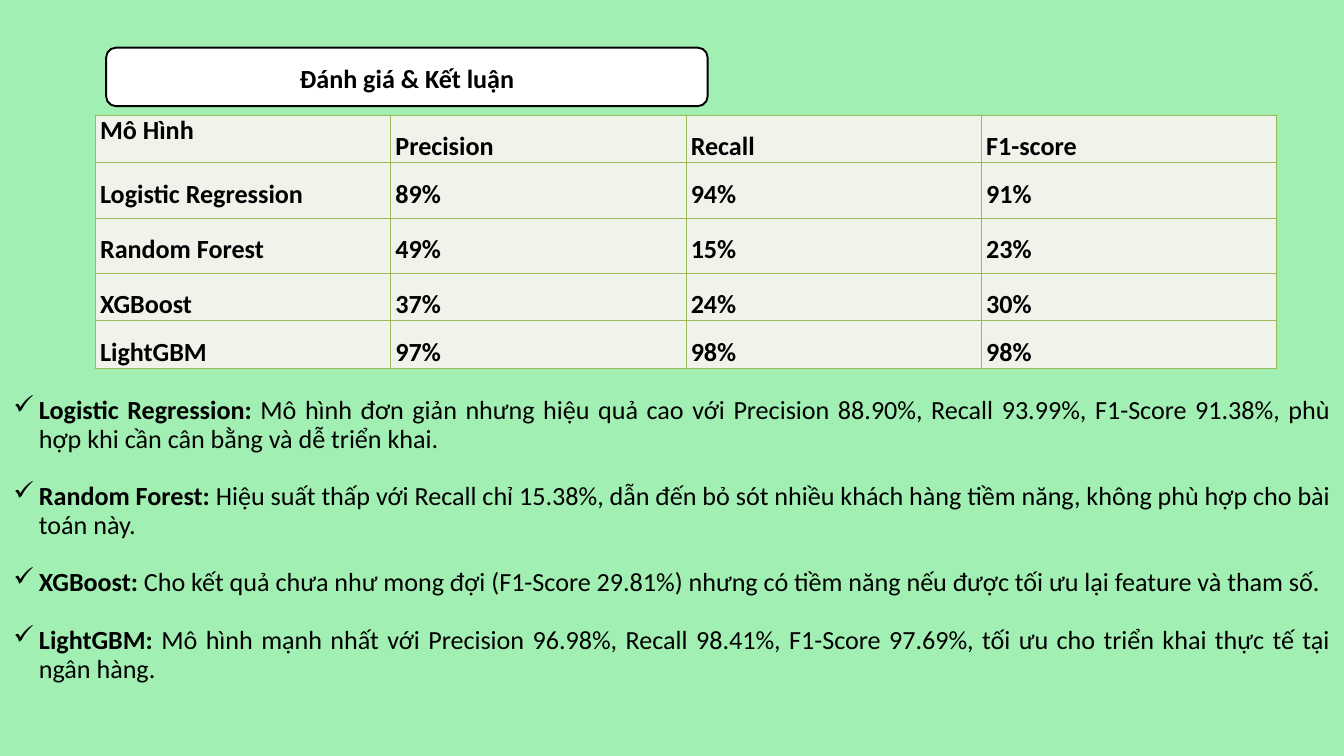
from typing import NamedTuple

from lxml import etree
from pptx import Presentation
from pptx.dml.color import RGBColor
from pptx.enum.shapes import MSO_SHAPE
from pptx.enum.text import MSO_ANCHOR, PP_ALIGN
from pptx.oxml.ns import qn
from pptx.util import Pt

ROUND = MSO_SHAPE.ROUNDED_RECTANGLE
MIDDLE = MSO_ANCHOR.MIDDLE
CENTER, JUSTIFY = PP_ALIGN.CENTER, PP_ALIGN.JUSTIFY

MINT = RGBColor(0xA1, 0xEF, 0xB2)
WHITE = RGBColor(0xFF, 0xFF, 0xFF)
BLACK = RGBColor(0, 0, 0)
PALE = RGBColor(0xEF, 0xF3, 0xEA)
OLIVE = RGBColor(0x9B, 0xBB, 0x59)

SCALE = 9144
FACE = "Calibri"
SIZE = Pt(28)
LEAD = Pt(30.8)
INDENT = 38


class Box(NamedTuple):
    left: int
    top: int
    width: int
    height: int


class Note(NamedTuple):
    model: str
    text: str


TITLE = Box(158, 71, 895, 87)
GRID = Box(142, 171, 1758, 344)
BODY = Box(20, 589, 1959, 463)
HEIGHTS = [60, 82, 82, 60, 60]
SCORES = [
    ["Mô Hình", "Precision", "Recall", "F1-score"],
    ["Logistic Regression", "89%", "94%", "91%"],
    ["Random Forest", "49%", "15%", "23%"],
    ["XGBoost", "37%", "24%", "30%"],
    ["LightGBM", "97%", "98%", "98%"],
]
NOTES = [
    Note("Logistic Regression", "Mô hình đơn giản nhưng hiệu quả cao với Precision 88.90%, Recall 93.99%, "
         "F1-Score 91.38%, phù hợp khi cần cân bằng và dễ triển khai."),
    Note("Random Forest", "Hiệu suất thấp với Recall chỉ 15.38%, dẫn đến bỏ sót nhiều khách hàng "
         "tiềm năng, không phù hợp cho bài toán này."),
    Note("XGBoost", "Cho kết quả chưa như mong đợi (F1-Score 29.81%) nhưng có tiềm năng nếu được "
         "tối ưu lại feature và tham số."),
    Note("LightGBM", "Mô hình mạnh nhất với Precision 96.98%, Recall 98.41%, F1-Score 97.69%, "
         "tối ưu cho triển khai thực tế tại ngân hàng."),
]


def px(count: int) -> int:
    return count * SCALE


def place(box: Box) -> list[int]:
    return [px(side) for side in box]


def style(run, bold: bool = True) -> None:
    run.font.name = FACE
    run.font.size = SIZE
    run.font.bold = bold
    run.font.color.rgb = BLACK


def border(cell) -> None:
    props = cell._tc.get_or_add_tcPr()
    for side in ("lnL", "lnR", "lnT", "lnB"):
        line = etree.SubElement(props, qn(f"a:{side}"), w=str(Pt(1)))
        fill = etree.SubElement(line, qn("a:solidFill"))
        etree.SubElement(fill, qn("a:srgbClr"), val=str(OLIVE))


def draw_title(slide, box: Box, text: str) -> None:
    shape = slide.shapes.add_shape(ROUND, *place(box))
    shape.shadow.inherit = False
    shape.fill.solid()
    shape.fill.fore_color.rgb = WHITE
    shape.line.color.rgb = BLACK
    shape.line.width = Pt(2)
    frame = shape.text_frame
    frame.text = text
    frame.vertical_anchor = MIDDLE
    para = frame.paragraphs[0]
    para.alignment = CENTER
    para.line_spacing = 1.08
    para.space_after = Pt(8)
    style(para.runs[0])


def draw_cell(cell, text: str, spaced: bool) -> None:
    cell.margin_left = cell.margin_right = px(7)
    cell.margin_top = cell.margin_bottom = 0
    border(cell)
    cell.fill.solid()
    cell.fill.fore_color.rgb = PALE
    cell.text_frame.text = text
    para = cell.text_frame.paragraphs[0]
    if spaced:
        para.line_spacing = 1.5
    style(para.runs[0])


def draw_scores(slide, box: Box, scores: list[list[str]]) -> None:
    table = slide.shapes.add_table(len(scores), len(scores[0]), *place(box)).table
    table.first_row = False
    table.horz_banding = False
    for row, height in zip(table.rows, HEIGHTS):
        row.height = px(height)
    for r, line in enumerate(scores):
        for c, text in enumerate(line):
            draw_cell(table.cell(r, c), text, spaced=(r, c) != (0, 0))


def draw_notes(slide, box: Box, notes: list[Note]) -> None:
    frame = slide.shapes.add_textbox(*place(box)).text_frame
    frame.word_wrap = True
    frame.margin_left = frame.margin_right = 0
    frame.margin_top = frame.margin_bottom = 0
    for n, note in enumerate(notes):
        para = frame.add_paragraph() if n else frame.paragraphs[0]
        props = para._p.get_or_add_pPr()
        props.set("marL", str(px(INDENT)))
        props.set("indent", str(-px(INDENT)))
        etree.SubElement(props, qn("a:buChar"), char="✓")
        para.text = f"{note.model}: "
        para.add_run().text = note.text
        para.level = 1
        para.alignment = JUSTIFY
        para.line_spacing = LEAD
        if n:
            para.space_before = LEAD
        for run, bold in zip(para.runs, (True, False)):
            style(run, bold)


def main() -> None:
    deck = Presentation()
    deck.slide_width, deck.slide_height = px(2000), px(1125)
    slide = deck.slides.add_slide(deck.slide_layouts[6])
    slide.background.fill.solid()
    slide.background.fill.fore_color.rgb = MINT
    draw_title(slide, TITLE, "Đánh giá & Kết luận")
    draw_scores(slide, GRID, SCORES)
    draw_notes(slide, BODY, NOTES)
    deck.save("out.pptx")


if __name__ == "__main__":
    main()
